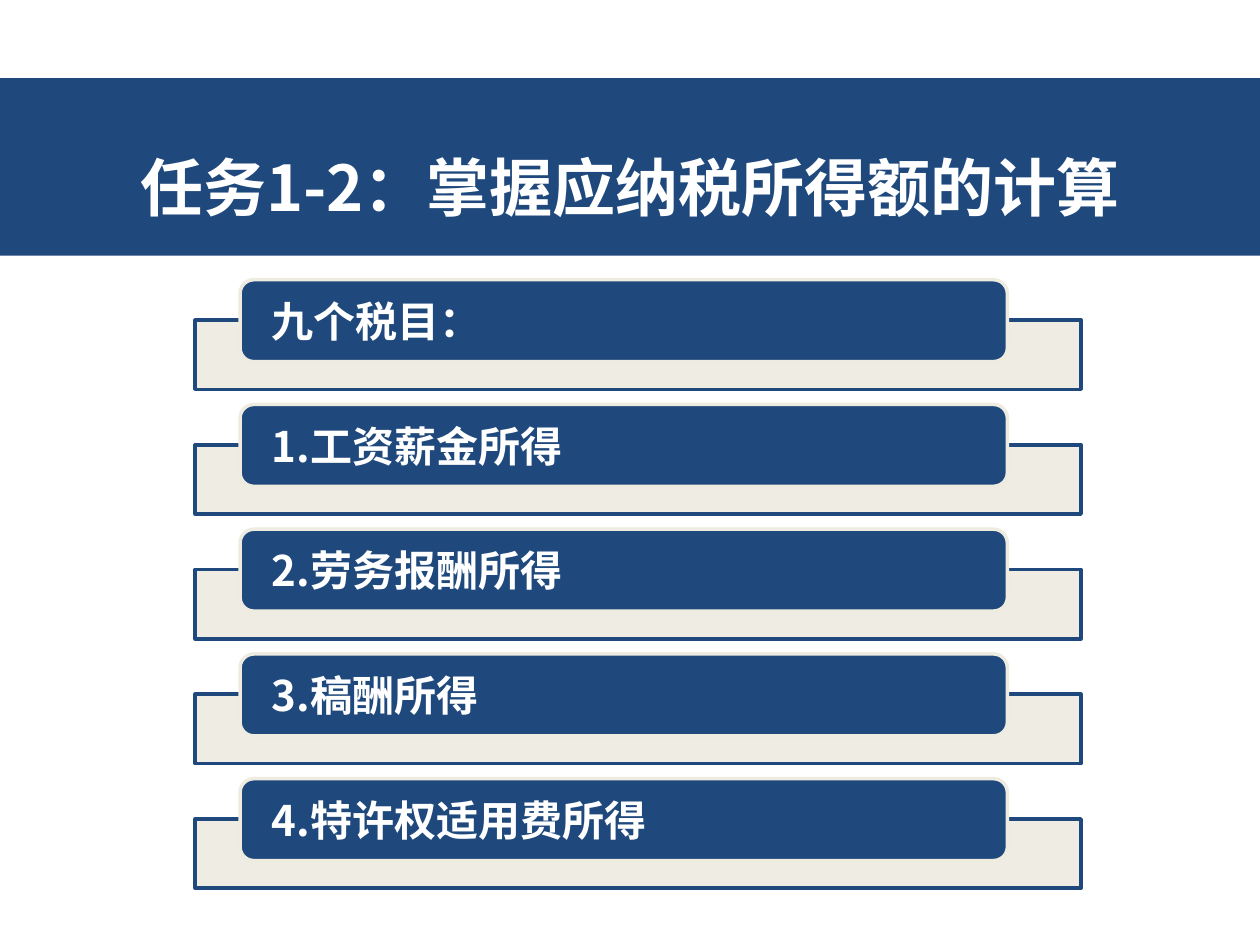
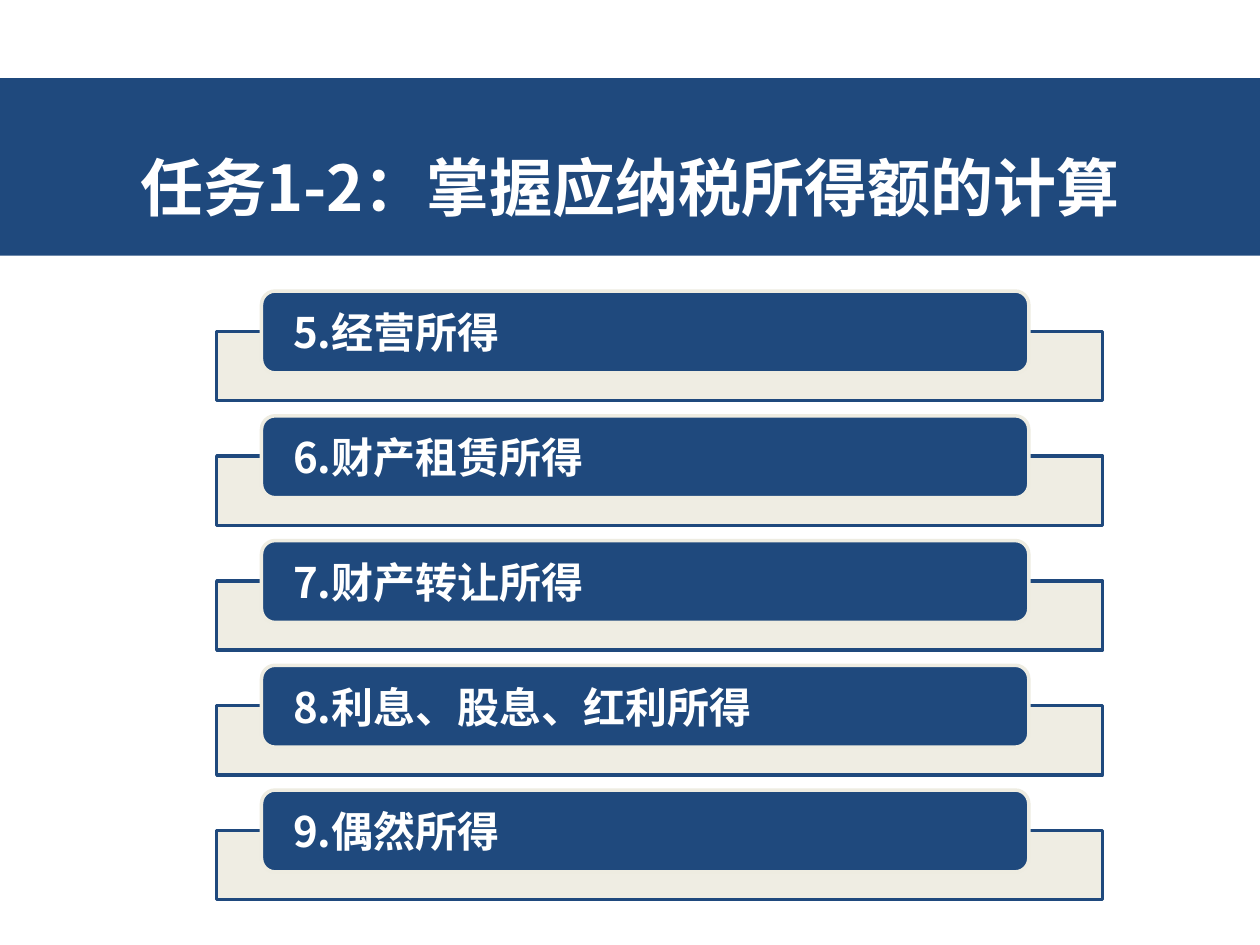
from dataclasses import dataclass

from lxml import etree
from pptx import Presentation
from pptx import util as u
from pptx.dml.color import RGBColor
from pptx.enum import lang, shapes, text
from pptx.oxml import ns


@dataclass(frozen=True)
class Theme:
    navy: RGBColor = RGBColor(0x1F, 0x49, 0x7D)
    cream: RGBColor = RGBColor(0xEE, 0xEC, 0xE1)
    white: RGBColor = RGBColor(0xFF, 0xFF, 0xFF)
    font: str = "Noto Sans CJK SC"
    title_size: int = 36
    item_size: int = 24
    line_width: int = 2
    tray_opacity: int = 90


THEME = Theme()
TITLE = "任务1-2：掌握应纳税所得额的计算"
TITLE_BOX = (0, 0.62, 10, 1.41)

# Left and top of each list, then its items
LISTS = [
    ((1.55, 2.22), ["九个税目：", "1.工资薪金所得", "2.劳务报酬所得",
                    "3.稿酬所得", "4.特许权适用费所得"]),
    ((1.72, 2.31), ["5.经营所得", "6.财产租赁所得", "7.财产转让所得",
                    "8.利息、股息、红利所得", "9.偶然所得"]),
]
ITEM_PITCH = 0.99
TRAY_WIDTH, TRAY_HEIGHT, TRAY_DROP = 7.03, 0.55, 0.32
BAR_INDENT, BAR_WIDTH, BAR_HEIGHT = 0.355, 6.09, 0.65
BAR_MARGIN = 0.22


def set_values(target, values):
    for name, value in values.items():
        setattr(target, name, value)


def add_box(parent, kind, box, fill, line=None):
    shape = parent.add_shape(kind, *(u.Inches(length) for length in box))
    shape.shadow.inherit = False
    shape.fill.solid()
    shape.fill.fore_color.rgb = fill
    if line is None:
        shape.line.fill.background()
    else:
        shape.line.color.rgb = line
        shape.line.width = u.Pt(THEME.line_width)
    return shape


def set_opacity(shape, percent):
    color = shape.fill._xPr.find(ns.qn("a:solidFill"))[0]
    etree.SubElement(color, ns.qn("a:alpha"), val=str(percent * 1000))


def write_text(shape, words, size, para_values, frame_values):
    frame = shape.text_frame
    set_values(frame, {"vertical_anchor": text.MSO_ANCHOR.MIDDLE, **frame_values})
    para = frame.paragraphs[0]
    set_values(para, para_values)
    span = para.add_run()
    span.text = words
    set_values(span.font, {
        "name": THEME.font, "size": u.Pt(size), "bold": True,
        "language_id": lang.MSO_LANGUAGE_ID.SIMPLIFIED_CHINESE,
    })
    span.font.color.rgb = THEME.white
    # East Asian glyphs take their own typeface entry
    etree.SubElement(span.font._element, ns.qn("a:ea"), typeface=THEME.font)


def add_title_band(page, box):
    band = add_box(page.shapes, shapes.MSO_SHAPE.RECTANGLE, box, THEME.navy)
    write_text(band, TITLE, THEME.title_size,
               {"alignment": text.PP_ALIGN.CENTER, "line_spacing": 1.5},
               {"word_wrap": False})


def add_item(group, left, top, words):
    # Pale tray behind the bar
    tray = add_box(group, shapes.MSO_SHAPE.RECTANGLE,
                   (left, top + TRAY_DROP, TRAY_WIDTH, TRAY_HEIGHT),
                   THEME.cream, THEME.navy)
    set_opacity(tray, THEME.tray_opacity)
    # Rounded bar with the label
    bar = add_box(group, shapes.MSO_SHAPE.ROUNDED_RECTANGLE,
                  (left + BAR_INDENT, top, BAR_WIDTH, BAR_HEIGHT),
                  THEME.navy, THEME.cream)
    margin = u.Inches(BAR_MARGIN)
    write_text(bar, words, THEME.item_size, {"alignment": text.PP_ALIGN.LEFT},
               {"word_wrap": True, "margin_left": margin, "margin_right": margin,
                "margin_top": 0, "margin_bottom": 0})


def add_item_list(page, corner, items):
    left, top = corner
    group = page.shapes.add_group_shape().shapes
    for row, words in enumerate(items):
        add_item(group, left, top + row * ITEM_PITCH, words)


def main():
    deck = Presentation()
    set_values(deck, {"slide_width": u.Inches(10), "slide_height": u.Inches(7.5)})
    for corner, items in LISTS:
        page = deck.slides.add_slide(deck.slide_layouts[6])
        add_title_band(page, TITLE_BOX)
        add_item_list(page, corner, items)
    deck.save("out.pptx")


if __name__ == "__main__":
    main()
